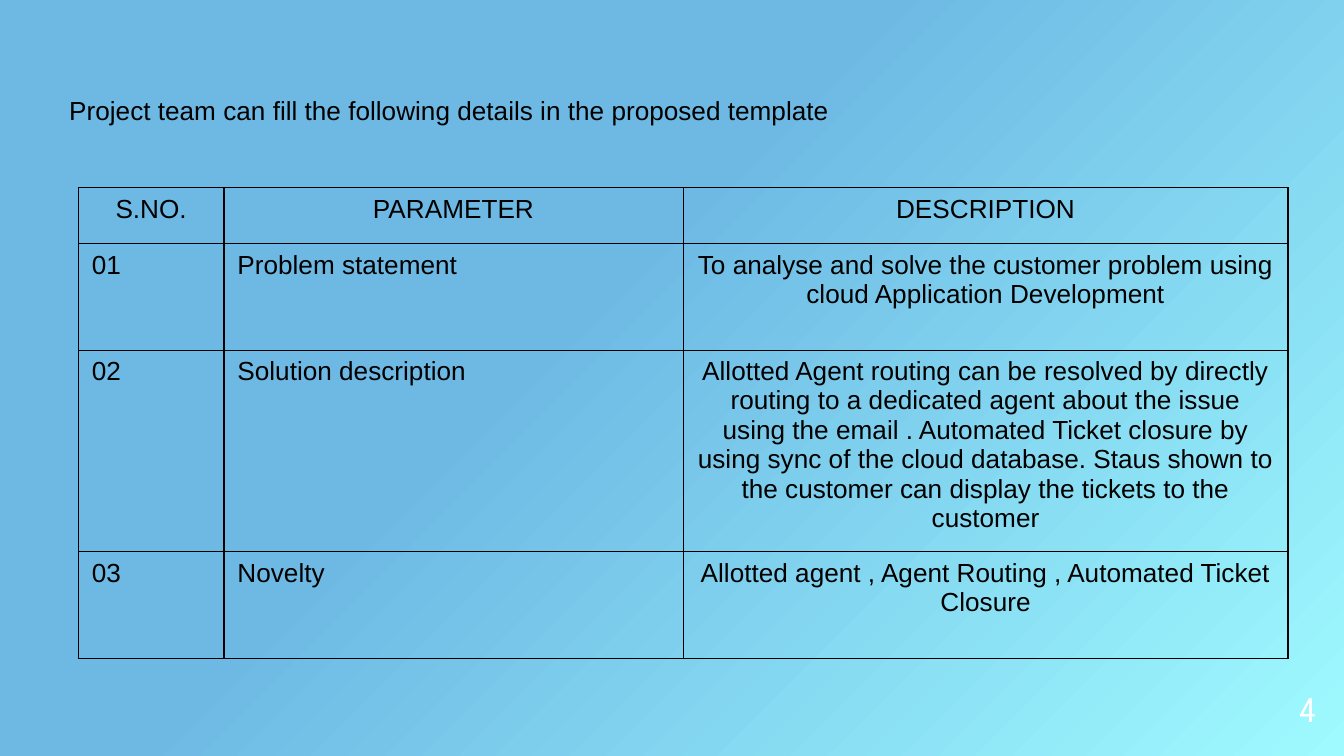
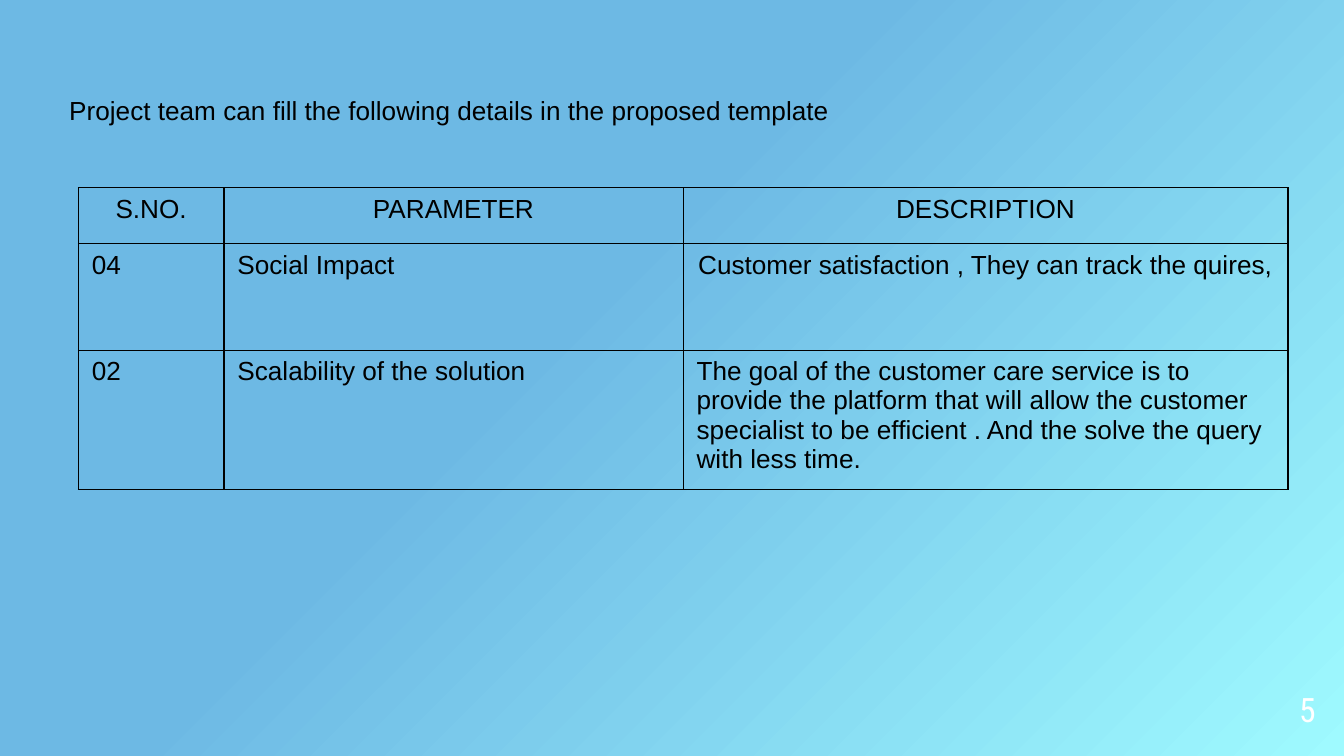
from pptx import Presentation
from pptx.dml.color import RGBColor
from pptx.enum import text
from pptx.oxml import parse_xml
from pptx.oxml.ns import nsdecls
from pptx.util import Pt

BLACK = RGBColor(0x00, 0x00, 0x00)
WHITE = RGBColor(0xFF, 0xFF, 0xFF)
AQUA = RGBColor(0x9F, 0xFA, 0xFF)
SKY = RGBColor(0x6D, 0xB9, 0xE4)
BODY_FONT = "Arial"
NUMBER_FONT = "Roboto Condensed"
LEFT, CENTER, RIGHT = text.PP_ALIGN.LEFT, text.PP_ALIGN.CENTER, text.PP_ALIGN.RIGHT

INTRO = "Project team can fill the following details in the proposed template"
HEADERS = ("S.NO.", "PARAMETER", "DESCRIPTION")
COLUMN_WIDTHS = (78, 246, 324)
HEADER_HEIGHT, ROW_HEIGHT = 30, 57

SLIDES = [
    (4, [
        ("01", "Problem statement",
         "To analyse and solve the customer problem using cloud Application Development", CENTER),
        ("02", "Solution description",
         "Allotted Agent routing can be resolved by directly routing to a dedicated agent "
         "about the issue using the email . Automated Ticket closure by using sync of the "
         "cloud database. Staus shown to the customer can display the tickets to the customer",
         CENTER),
        ("03", "Novelty", "Allotted agent , Agent Routing , Automated Ticket Closure", CENTER),
    ]),
    (5, [
        ("04", "Social Impact", "Customer satisfaction , They can track the quires,", CENTER),
        ("02", "Scalability of the solution",
         "The goal of the customer care service is to provide the platform that will allow "
         "the customer specialist to be efficient . And the solve the query with less time.",
         LEFT),
    ]),
]


def write(tf, content, size=14, font=BODY_FONT, color=BLACK, align=LEFT, spacing=None):
    p = tf.paragraphs[0]
    p.alignment = align
    p.line_spacing = spacing
    r = p.add_run()
    r.text = content
    r.font.size = Pt(size)
    r.font.name = font
    r.font.color.rgb = color


class Deck:
    def __init__(self):
        self.prs = Presentation()
        self.prs.slide_width, self.prs.slide_height = Pt(720), Pt(405)
        self.s = None

    def slide(self):
        self.s = self.prs.slides.add_slide(self.prs.slide_layouts[6])
        stops = "".join(
            f'<a:gs pos="{pos * 1000}"><a:srgbClr val="{color}"/></a:gs>'
            for pos, color in ((0, AQUA), (58, SKY), (100, SKY)))
        self.s.element.cSld.insert(0, parse_xml(
            f'<p:bg {nsdecls("p", "a")}><p:bgPr><a:gradFill><a:gsLst>{stops}</a:gsLst>'
            '<a:path path="circle"><a:fillToRect l="100000" t="100000"/></a:path>'
            '</a:gradFill><a:effectLst/></p:bgPr></p:bg>'))

    def textbox(self, x, y, w, h):
        tf = self.s.shapes.add_textbox(Pt(x), Pt(y), Pt(w), Pt(h)).text_frame
        tf.word_wrap = True
        return tf

    def intro(self):
        tf = self.textbox(30, 46.8, 480, 24.5)
        tf.auto_size = text.MSO_AUTO_SIZE.SHAPE_TO_FIT_TEXT
        write(tf, INTRO)

    def number(self, value):
        tf = self.textbox(661.7, 365.8, 43.2, 25.2)
        tf.margin_left = tf.margin_right = tf.margin_top = tf.margin_bottom = 0
        tf.vertical_anchor = text.MSO_ANCHOR.BOTTOM
        write(tf, str(value), size=18, font=NUMBER_FONT, color=WHITE, align=RIGHT, spacing=0.9)

    def cell(self, cell, content, align):
        write(cell.text_frame, content, align=align)
        tcPr = cell._tc.get_or_add_tcPr()
        for side in "LRTB":
            tcPr.append(parse_xml(
                f'<a:ln{side} {nsdecls("a")} w="{Pt(0.75)}"><a:solidFill>'
                f'<a:srgbClr val="{BLACK}"/></a:solidFill></a:ln{side}>'))
        cell.fill.background()

    def table(self, rows):
        height = HEADER_HEIGHT + ROW_HEIGHT * len(rows)
        table = self.s.shapes.add_table(
            len(rows) + 1, len(HEADERS), Pt(42), Pt(100.6),
            Pt(sum(COLUMN_WIDTHS)), Pt(height)).table
        table.first_row = table.horz_banding = False
        for column, width in zip(table.columns, COLUMN_WIDTHS):
            column.width = Pt(width)
        for i, row in enumerate(table.rows):
            row.height = Pt(ROW_HEIGHT if i else HEADER_HEIGHT)
        for j, header in enumerate(HEADERS):
            self.cell(table.cell(0, j), header, CENTER)
        for i, (*values, align) in enumerate(rows, 1):
            for j, (value, side) in enumerate(zip(values, (LEFT, LEFT, align))):
                self.cell(table.cell(i, j), value, side)


def main():
    deck = Deck()
    for number, rows in SLIDES:
        deck.slide()
        deck.number(number)
        deck.table(rows)
        deck.intro()
    deck.prs.save("out.pptx")


if __name__ == "__main__":
    main()
